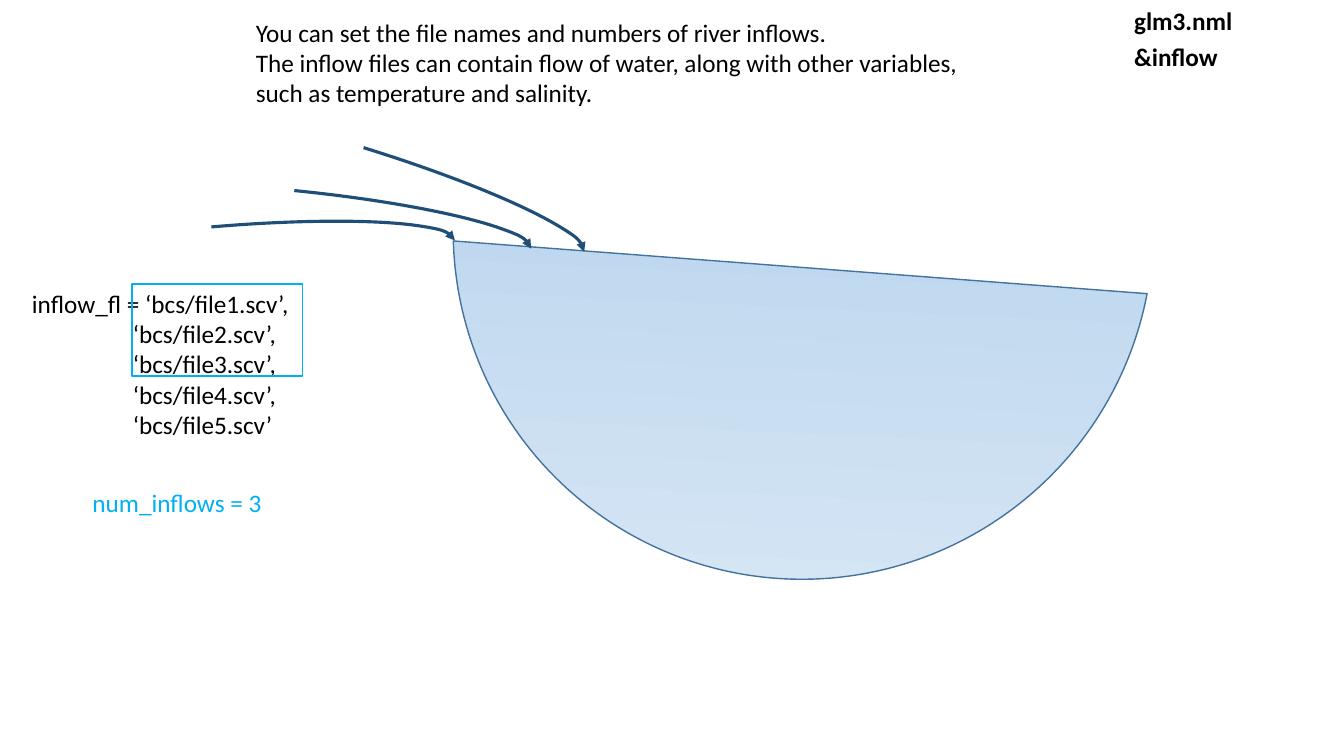
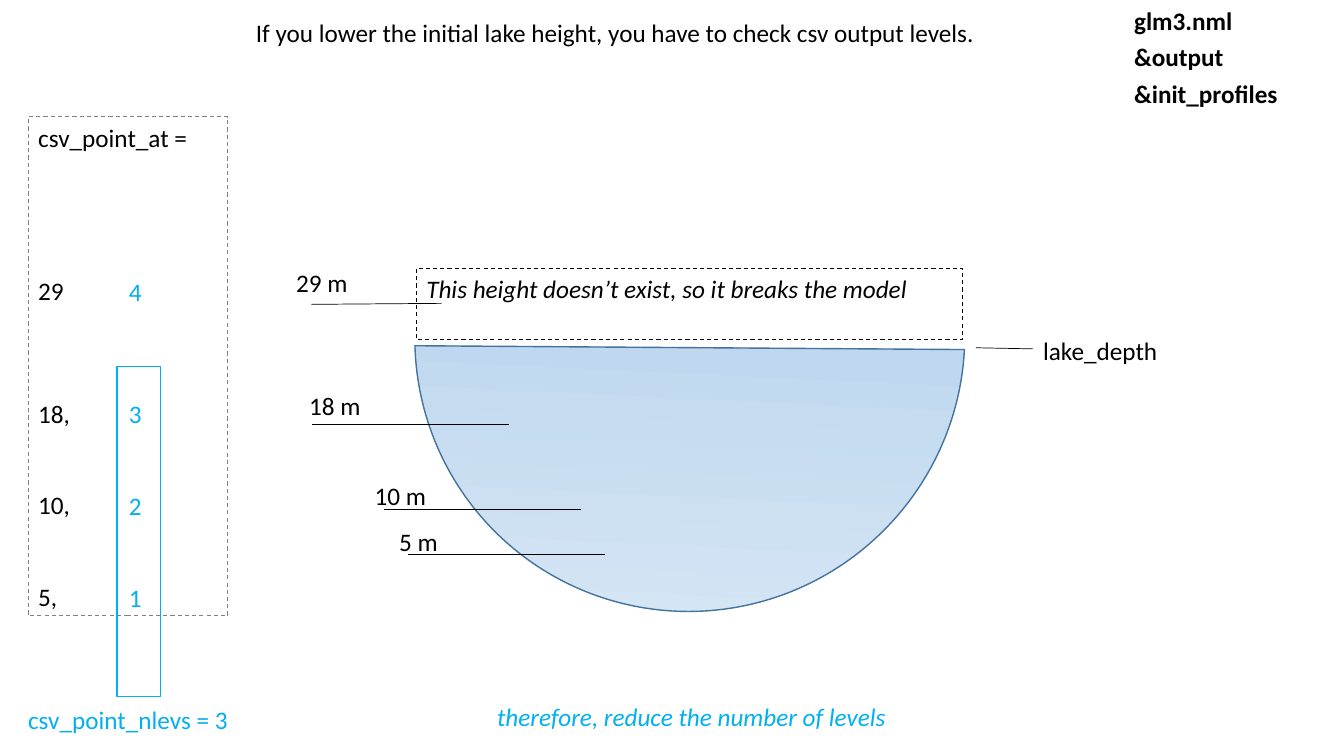
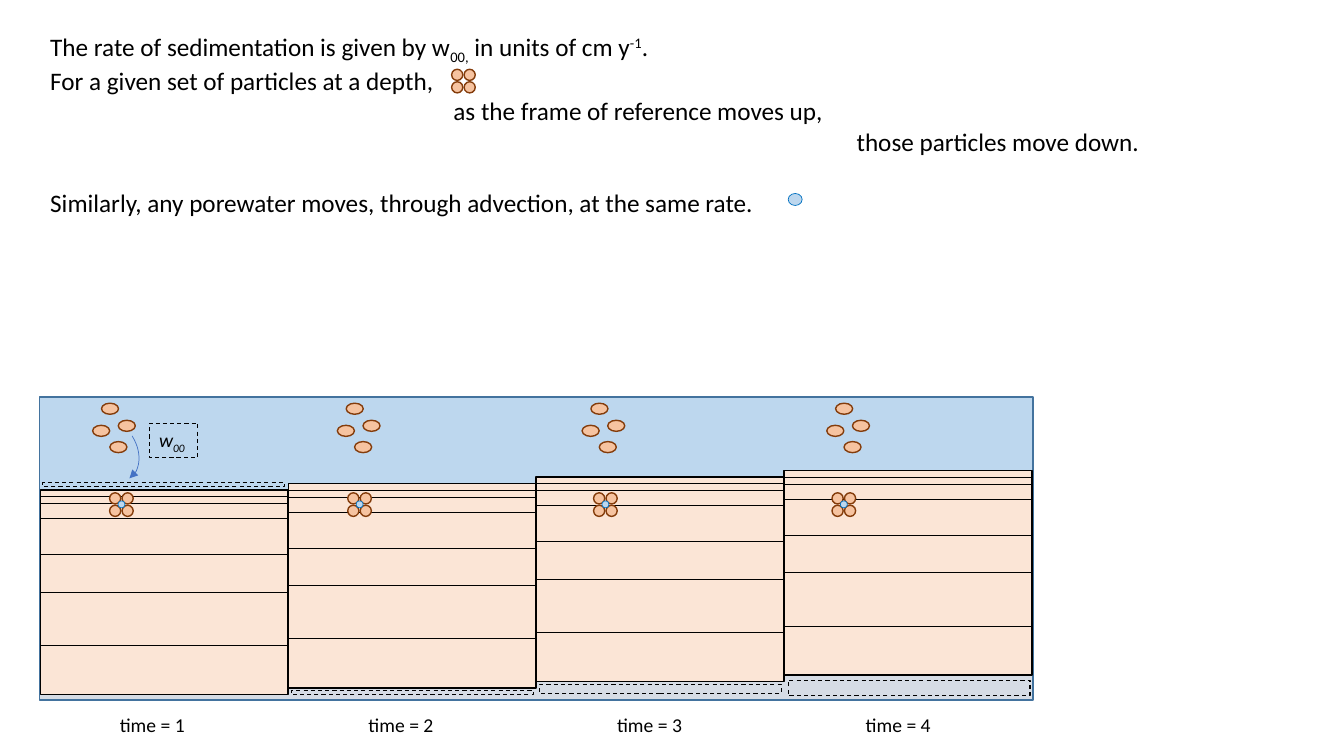
"""Three slides on lake inflows, output levels and sediment burial."""
from dataclasses import dataclass
from typing import Any, NamedTuple

from lxml.etree import SubElement
from pptx import Presentation
from pptx.dml.color import RGBColor
from pptx.enum.dml import MSO_LINE
from pptx.enum.shapes import MSO_CONNECTOR, MSO_SHAPE as Form
from pptx.enum.text import MSO_ANCHOR, PP_ALIGN
from pptx.oxml.ns import qn
from pptx.util import Pt

HUES = {
    "ink": "000000", "cyan": "00B0F0", "grey": "808080", "edge": "43739E",
    "pale": "DEEBF7", "deep": "9DC3E6", "navy": "1F4E79", "lake": "BDD7EE",
    "base": "D6DCE5", "bed": "FBE5D6", "grain": "F6C3A0", "rust": "843C0B",
    "blue": "4472C4", "pore": "0070C0",
}
FONT = "Calibri"
ROW = 22
BED_LEFT, BED_TOP, BED_WIDE, BED_HIGH, RISE = 28.8, 350, 177.1, 146, 4.6
LAYERS = (4.8, 9.6, 20.5, 46, BED_HIGH / 2, 110.9)


class Box(NamedTuple):
    left: float
    top: float
    wide: float
    high: float


class Run(NamedTuple):
    text: str
    base: int = 0


class Line(NamedTuple):
    text: str
    indent: float = 0
    before: float = 0
    tail: tuple[Run, ...] = ()


@dataclass(frozen=True)
class Note:
    box: Box
    lines: tuple[Line, ...]
    hue: str = "ink"
    size: float = 18
    bold: bool = False
    slant: bool = False
    centre: bool = False
    frame: str = ""


class Level(NamedTuple):
    text: str
    left: float
    top: float
    start: tuple[float, float]
    stop: tuple[float, float]


class Step(NamedTuple):
    grains: float
    gap: Box


def hue(name: str) -> RGBColor:
    return RGBColor.from_string(HUES[name])


def draw(tree: Any, form: Form, box: Box, fill: str = "", line: str = "ink",
         weight: float = 1, dash: bool = False) -> Any:
    shape = tree.add_shape(form, *map(Pt, box))
    shape.shadow.inherit = False
    if fill:
        shape.fill.solid()
        shape.fill.fore_color.rgb = hue(fill)
    else:
        shape.fill.background()
    shape.line.color.rgb = hue(line)
    shape.line.width = Pt(weight)
    if dash:
        shape.line.dash_style = MSO_LINE.DASH
    return shape


def link(tree: Any, start: tuple[float, float], stop: tuple[float, float]) -> Any:
    line = tree.add_connector(MSO_CONNECTOR.STRAIGHT, *map(Pt, (*start, *stop)))
    line.line.color.rgb = hue("ink")
    line.line.width = Pt(0.5)
    SubElement(line._element.spPr, qn("a:effectLst"))
    return line


def arc(tree: Any, box: Box, turn: float, line: str, weight: float) -> None:
    shape = draw(tree, Form.ARC, box, line=line, weight=weight)
    shape.rotation = turn
    SubElement(shape._element.spPr.find(qn("a:ln")), qn("a:tailEnd"), type="triangle")


def bowl(tree: Any, box: Box, start: float) -> None:
    shape = draw(tree, Form.CHORD, box, line="edge")
    shape.adjustments[0] = start
    shape.adjustments[1] = 132.24
    shape.rotation = 317.7
    shape.fill.gradient()
    shape.fill.gradient_angle = 45
    for stop, name in zip(shape.fill.gradient_stops, ("pale", "deep")):
        stop.color.rgb = hue(name)


def write(tree: Any, note: Note) -> Any:
    if note.frame:
        shape = draw(tree, Form.RECTANGLE, note.box, line=note.frame, weight=0.75, dash=True)
    else:
        shape = tree.add_textbox(*map(Pt, note.box))
    frame = shape.text_frame
    frame.word_wrap = True
    frame.vertical_anchor = MSO_ANCHOR.TOP
    for i, line in enumerate(note.lines):
        para = frame.add_paragraph() if i else frame.paragraphs[0]
        para.alignment = PP_ALIGN.CENTER if note.centre else PP_ALIGN.LEFT
        if line.before:
            para.space_before = Pt(line.before)
        if line.indent:
            para._p.get_or_add_pPr().set("marL", str(Pt(line.indent)))
        for part in (Run(line.text), *line.tail):
            run = para.add_run()
            run.text = part.text
            if part.base:
                run.font._element.set("baseline", str(part.base * 1000))
        font = para.font
        font.name, font.size = FONT, Pt(note.size)
        font.bold, font.italic = note.bold, note.slant
        font.color.rgb = hue(note.hue)
    return shape


def heads(tree: Any, *names: str) -> None:
    for i, name in enumerate(names):
        write(tree, Note(Box(803, 26.3 * i, 142, 29), (Line(name),), bold=True))


def intro(tree: Any, *lines: str) -> None:
    write(tree, Note(Box(175.7, 8.6, 532, 29 + ROW * (len(lines) - 1)),
                     tuple(map(Line, lines))))


def inflow(tree: Any) -> None:
    bowl(tree, Box(323.3, -85.7, 501, 499), 31.74)
    intro(tree, "You can set the file names and numbers of river inflows.",
          "The inflow files can contain flow of water, along with other variables, "
          "such as temperature and salinity.")
    for left, top, turn in ((35.3, 136, 5.7), (80, 104.4, 17.2), (-19.4, 162, 355.1)):
        arc(tree, Box(left, top, 345, 49), turn, "navy", 2.25)
    files = ("‘bcs/file2.scv’,", "‘bcs/file3.scv’,", "‘bcs/file4.scv’,", "‘bcs/file5.scv’")
    write(tree, Note(Box(15.8, 202.3, 204.5, 116.6),
                     (Line("inflow_fl = ‘bcs/file1.scv’,"),
                      *(Line(name, indent=72) for name in files))))
    write(tree, Note(Box(59, 344.2, 149, 29), (Line("num_inflows = 3"),), hue="cyan"))
    draw(tree, Form.RECTANGLE, Box(94.3, 203, 121.7, 65.5), line="cyan")
    heads(tree, "glm3.nml", "&inflow")


def levels(tree: Any) -> None:
    bowl(tree, Box(295.9, 44.6, 393.8, 391.7), 27)
    write(tree, Note(Box(297.4, 191.5, 390.2, 51),
                     (Line("This height doesn’t exist, so it breaks the model"),),
                     slant=True, frame="ink"))
    intro(tree, "If you lower the initial lake height, you have to check csv output levels.")
    heads(tree, "glm3.nml", "&output", "&init_profiles")
    depth = write(tree, Note(Box(738, 236.2, 105, 26), (Line("lake_depth"),)))
    link(tree, (697, 248.4), (738, 249.2)).end_connect(depth, 1)
    marks = (
        Level("29 m", 204.5, 187.2, (222.5, 217.4), (315.4, 216.7)),
        Level("18 m", 213.8, 275, (223.2, 303.1), (363.6, 303.1)),
        Level("10 m", 260.6, 339.8, (274.3, 363.6), (414.7, 363.6)),
        Level("5 m", 278, 372.2, (291.6, 396), (432, 396)),
    )
    for mark in marks:
        write(tree, Note(Box(mark.left, mark.top, 54.7, 29), (Line(mark.text),)))
        link(tree, mark.start, mark.stop)
    gaps = (4, 3, 2, 2)
    rows = [Line(text, before=ROW * gap) for text, gap in zip(("29", "18,", "10,", "5,"), gaps)]
    write(tree, Note(Box(20.2, 83.5, 142.6, 356.4), (Line("csv_point_at ="), *rows),
                     frame="grey"))
    ranks = [Line(text, before=ROW * gap) for text, gap in zip("321", gaps[1:])]
    write(tree, Note(Box(85, 83.5 + ROW * 5, 118, 246.4), (Line("4"), *ranks), hue="cyan"))
    draw(tree, Form.RECTANGLE, Box(83.5, 262, 31, 235.5), line="cyan")
    write(tree, Note(Box(13, 499.7, 163.4, 29), (Line("csv_point_nlevs = 3"),), hue="cyan"))
    write(tree, Note(Box(271.4, 497.5, 445, 29), (Line("therefore, reduce the number of levels"),),
                     hue="cyan", slant=True, centre=True))


def grains(tree: Any, spots: list[tuple[float, float]], wide: float, high: float) -> None:
    group = tree.add_group_shape().shapes
    for left, top in spots:
        draw(group, Form.OVAL, Box(left, top, wide, high), "grain", "rust")


def clump(tree: Any, left: float, top: float) -> None:
    grains(tree, [(left + x, top + y) for y in (0, 8.9) for x in (0, 8.9)], 8, 8)


def pore(tree: Any, box: Box) -> None:
    draw(tree, Form.OVAL, box, "lake", "pore", 0.5)


def stack(tree: Any, left: float, top: float) -> None:
    group = tree.add_group_shape().shapes
    bed = draw(group, Form.RECTANGLE, Box(left, top, BED_WIDE, BED_HIGH), "bed")
    for drop in LAYERS:
        line = link(group, (left + BED_WIDE, top + drop), (left, top + drop))
        if drop == BED_HIGH / 2:
            line.begin_connect(bed, 3)
            line.end_connect(bed, 1)


def burial(tree: Any) -> None:
    draw(tree, Form.RECTANGLE, Box(28, 283.7, 710, 216), "lake", "edge")
    draw(tree, Form.RECTANGLE, Box(28, 468, 710, 32), "base", "edge")
    steps = (
        Step(78.3, Box(30.5, 344.9, 172.8, 2.9)),
        Step(248.4, Box(208.1, 493.2, 172.8, 2.9)),
        Step(424, Box(385.2, 488.9, 172.8, 6.5)),
        Step(594.3, Box(563, 486, 172.8, 10.8)),
    )
    for i in range(len(steps)):
        stack(tree, BED_LEFT + BED_WIDE * i, BED_TOP - RISE * i)
    falls = ((72.5, 288), (84.5, 300.2), (78.5, 315.4), (66.2, 303.8))
    for i, step in enumerate(steps):
        draw(tree, Form.RECTANGLE, step.gap, weight=0.75, dash=True)
        grains(tree, [(x + 174.8 * i, y) for x, y in falls], 12.2, 7.9)
        clump(tree, step.grains, 352)
        pore(tree, Box(step.grains + 6, 357.8, 5, 5))
        write(tree, Note(Box(78.5 + 177.6 * i, 505.4, 75, 24.5), (Line(f"time = {i + 1}"),),
                         size=14))
    arc(tree, Box(54.7, 303.1, 49, 36), 57.3, "blue", 0.5)
    write(tree, Note(Box(106.6, 302.4, 34.8, 24.5), (Line("w", tail=(Run("00", -25),)),),
                     size=14, slant=True, frame="ink"))
    rate = (Run("00,", -25), Run(" in units of cm y"), Run("-1", 30), Run("."))
    write(tree, Note(Box(28.8, 18.7, 844.6, 160), (
        Line("The rate of sedimentation is given by w", tail=rate),
        Line("For a given set of particles at a depth,"),
        Line("as the frame of reference moves up,", indent=288),
        Line("those particles move down.", indent=576),
        Line("Similarly, any porewater moves, through advection, at the same rate.", before=ROW),
    )))
    clump(tree, 322.6, 49.5)
    pore(tree, Box(563, 138.2, 10, 8.6))


def main() -> None:
    deck = Presentation()
    deck.slide_width, deck.slide_height = Pt(960), Pt(540)
    for fill in (inflow, levels, burial):
        fill(deck.slides.add_slide(deck.slide_layouts[6]).shapes)
    deck.save("out.pptx")


if __name__ == "__main__":
    main()
